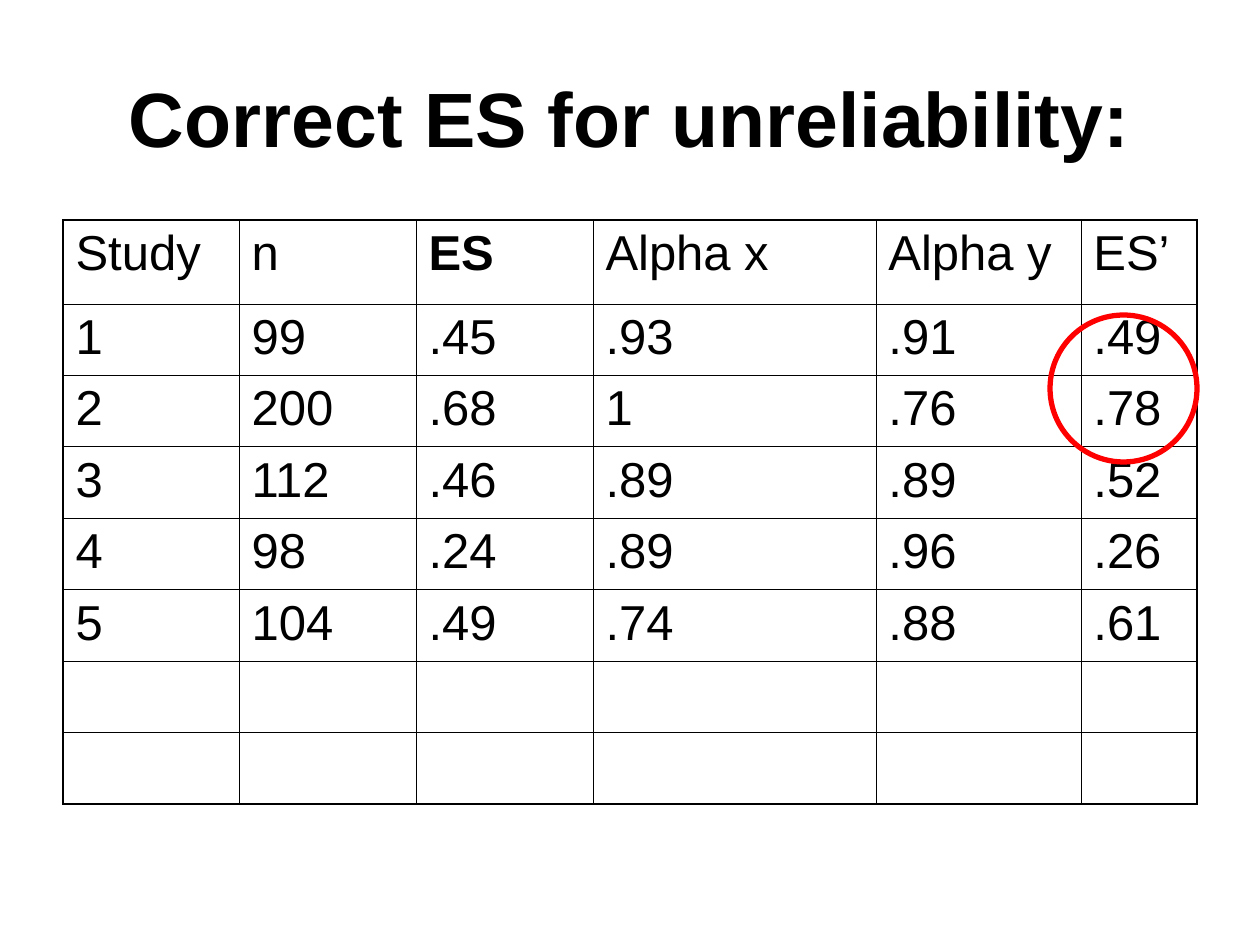
from dataclasses import dataclass

from lxml import etree
from pptx import Presentation
from pptx.dml.color import RGBColor
from pptx.enum.shapes import MSO_SHAPE
from pptx.enum.text import MSO_ANCHOR, PP_ALIGN
from pptx.oxml.ns import qn
from pptx.util import Emu, Pt

OVAL = MSO_SHAPE.OVAL
MIDDLE = MSO_ANCHOR.MIDDLE
CENTER = PP_ALIGN.CENTER
PX_PER_INCH = 126
TITLE_ONLY = 5


@dataclass(frozen=True)
class Theme:
    font: str = "Arial"
    ink: str = "000000"
    accent: str = "FF0000"
    title_size: int = 44
    cell_size: int = 28
    outer_rule: float = 1.08
    inner_rule: float = 0.45
    ring_width: int = 3


def px(length):
    return Emu(round(length * 914400 / PX_PER_INCH))


class SlideBuilder:
    def __init__(self, slide, theme):
        self.slide = slide
        self.theme = theme

    def format_font(self, font, size, bold=False):
        values = {"name": self.theme.font, "size": Pt(size), "bold": bold}
        for attribute, value in values.items():
            setattr(font, attribute, value)
        font.color.rgb = RGBColor.from_string(self.theme.ink)

    def title(self, text, left, top, width, height):
        heading = self.slide.shapes.title
        place = {"left": left, "top": top, "width": width, "height": height}
        for attribute, value in place.items():
            setattr(heading, attribute, px(value))
        heading.text_frame.vertical_anchor = MIDDLE
        paragraph = heading.text_frame.paragraphs[0]
        paragraph.text = text
        paragraph.alignment = CENTER
        self.format_font(paragraph.runs[0].font, self.theme.title_size, True)

    def border(self, cell, side, width):
        properties = cell._tc.get_or_add_tcPr()
        line = etree.SubElement(properties, qn(f"a:ln{side}"), w=str(Pt(width)))
        fill = etree.SubElement(line, qn("a:solidFill"))
        etree.SubElement(fill, qn("a:srgbClr"), val=self.theme.ink)

    def table(self, rows, left, top, widths, heights, bold_headers):
        grid = self.slide.shapes.add_table(
            len(heights), len(widths), px(left), px(top),
            px(sum(widths)), px(sum(heights))).table
        grid.first_row = False
        grid.horz_banding = False
        for column, width in zip(grid.columns, widths):
            column.width = px(width)
        for row, height in zip(grid.rows, heights):
            row.height = px(height)

        last_row, last_column = len(heights) - 1, len(widths) - 1
        for r in range(len(heights)):
            for c in range(len(widths)):
                cell = grid.cell(r, c)
                on_edge = {"L": c == 0, "R": c == last_column,
                           "T": r == 0, "B": r == last_row}
                for side, outer in on_edge.items():
                    self.border(cell, side, self.theme.outer_rule if outer
                                else self.theme.inner_rule)
                cell.fill.background()
                if r < len(rows):
                    paragraph = cell.text_frame.paragraphs[0]
                    paragraph.text = rows[r][c]
                    self.format_font(paragraph.runs[0].font, self.theme.cell_size,
                                     rows[r][c] in bold_headers)

    def ring(self, left, top, diameter):
        ring = self.slide.shapes.add_shape(
            OVAL, px(left), px(top), px(diameter), px(diameter))
        ring.shadow.inherit = False
        ring.fill.background()
        ring.line.color.rgb = RGBColor.from_string(self.theme.accent)
        ring.line.width = Pt(self.theme.ring_width)


STUDIES = [
    ("Study", "n", "ES", "Alpha x", "Alpha y", "ES’"),
    ("1", "99", ".45", ".93", ".91", ".49"),
    ("2", "200", ".68", "1", ".76", ".78"),
    ("3", "112", ".46", ".89", ".89", ".52"),
    ("4", "98", ".24", ".89", ".96", ".26"),
    ("5", "104", ".49", ".74", ".88", ".61"),
]
COLUMN_WIDTHS = [176, 177, 177, 283, 205, 116]
HEADER_HEIGHT = 84
BODY_HEIGHT = 500
BODY_ROWS = 7


def main():
    presentation = Presentation()
    presentation.slide_width = px(1260)
    presentation.slide_height = px(945)
    slide = presentation.slides.add_slide(presentation.slide_layouts[TITLE_ONLY])
    builder = SlideBuilder(slide, Theme())
    builder.title("Correct ES for unreliability:", 63, 38, 1134, 157)
    row_heights = [HEADER_HEIGHT] + [BODY_HEIGHT / BODY_ROWS] * BODY_ROWS
    builder.table(STUDIES, 63, 220, COLUMN_WIDTHS, row_heights, {"ES"})
    builder.ring(1050, 315, 147)
    presentation.save("out.pptx")


if __name__ == "__main__":
    main()
